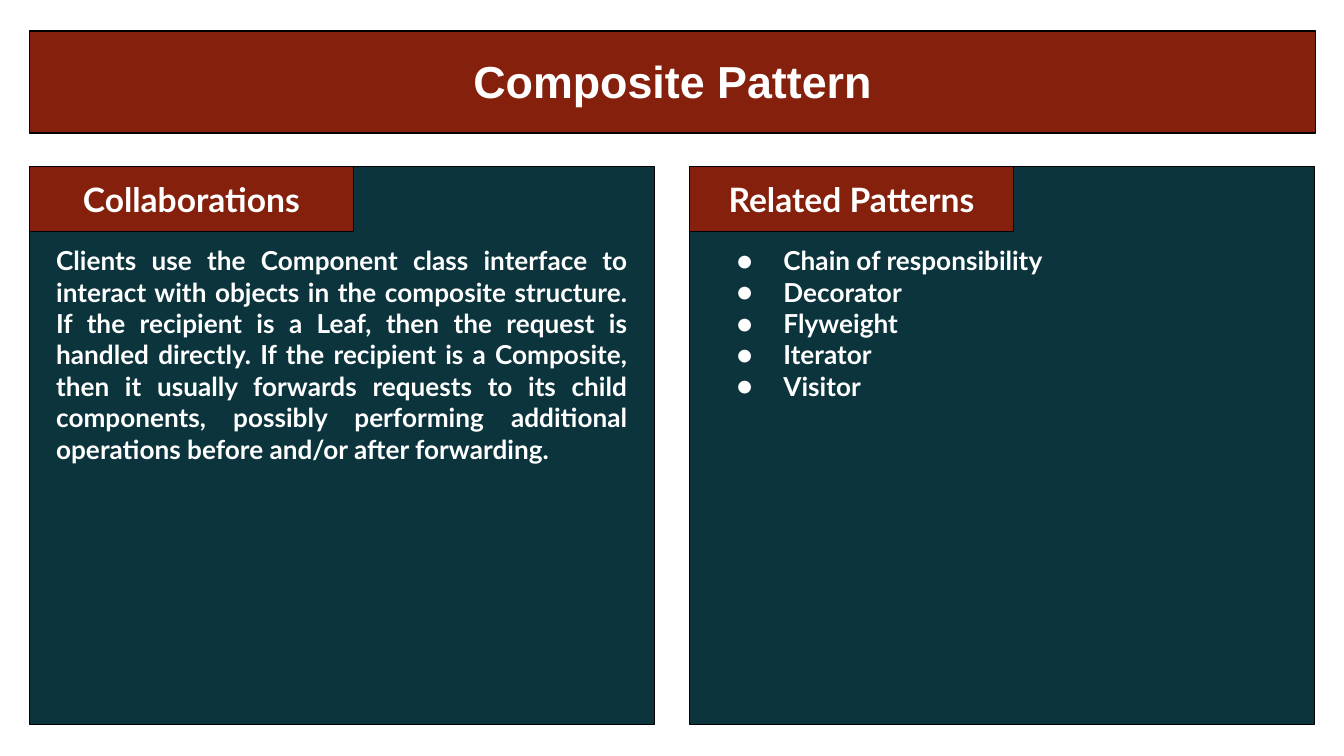
import lxml.etree
import pptx
import pptx.dml.color
import pptx.enum.shapes
import pptx.enum.text
import pptx.oxml.ns
import pptx.util

Pt = pptx.util.Pt
ALIGN = pptx.enum.text.PP_ALIGN
ANCHOR = pptx.enum.text.MSO_ANCHOR
RED, TEAL, WHITE, BLACK = "85200C", "0C343D", "FFFFFF", "000000"


def color(value):
    return pptx.dml.color.RGBColor.from_string(value)


def write(shape, lines, font, size, align, anchor):
    frame = shape.text_frame
    frame.word_wrap = True
    frame.vertical_anchor = anchor
    frame.margin_left = frame.margin_right = Pt(7.2)
    frame.margin_top = frame.margin_bottom = Pt(7.2)
    for index, line in enumerate(lines):
        paragraph = frame.paragraphs[0] if index == 0 else frame.add_paragraph()
        paragraph.alignment = align
        run = paragraph.add_run()
        run.text = line
        run.font.name = font
        run.font.size = Pt(size)
        run.font.bold = True
        run.font.color.rgb = color(WHITE)


presentation = pptx.Presentation()
presentation.slide_width = Pt(720)
presentation.slide_height = Pt(405)
slide = presentation.slides.add_slide(presentation.slide_layouts[6])

left, right = 15.8, 369.4
panel_top, panel_width, tab_height = 89.3, 334.8, 34.6
rectangles = [
    (left, 16.6, 689, 54.7, RED, None),
    (left, panel_top, panel_width, 298.8, TEAL, None),
    (right, panel_top, panel_width, 298.8, TEAL, None),
    (left, panel_top, 173.5, tab_height, RED, "Collaborations"),
    (right, panel_top, 173.5, tab_height, RED, "Related Patterns"),
]
for x, y, width, height, fill, heading in rectangles:
    shape = slide.shapes.add_shape(
        pptx.enum.shapes.MSO_SHAPE.RECTANGLE, Pt(x), Pt(y), Pt(width), Pt(height))
    shape.shadow.inherit = False
    shape.fill.solid()
    shape.fill.fore_color.rgb = color(fill)
    shape.line.color.rgb = color(BLACK)
    shape.line.width = Pt(0.75)
    if heading:
        write(shape, [heading], "Lato", 18, ALIGN.CENTER, ANCHOR.MIDDLE)

title = slide.shapes.add_textbox(Pt(left), Pt(21.6), Pt(689), Pt(45.4))
write(title, ["Composite Pattern"], "Arial", 24, ALIGN.CENTER, ANCHOR.TOP)

collaborations = (
    "Clients use the Component class interface to interact with objects in the "
    "composite structure. If the recipient is a Leaf, then the request is handled "
    "directly. If the recipient is a Composite, then it usually forwards requests "
    "to its child components, possibly performing additional operations before "
    "and/or after forwarding."
)
patterns = ["Chain of responsibility", "Decorator", "Flyweight", "Iterator", "Visitor"]
body_top = panel_top + tab_height
for x, height, lines in [(left, 87.1, [collaborations]), (right, 251.3, patterns)]:
    body = slide.shapes.add_textbox(
        Pt(x + 7.2), Pt(body_top), Pt(panel_width - 14.4), Pt(height))
    write(body, lines, "Lato", 14, ALIGN.JUSTIFY, ANCHOR.TOP)

for paragraph in body.text_frame.paragraphs:
    properties = paragraph._p.get_or_add_pPr()
    properties.set("marL", str(Pt(36)))
    properties.set("indent", str(Pt(-25)))
    bullet_color = lxml.etree.SubElement(properties, pptx.oxml.ns.qn("a:buClr"))
    lxml.etree.SubElement(bullet_color, pptx.oxml.ns.qn("a:srgbClr"), val=WHITE)
    lxml.etree.SubElement(properties, pptx.oxml.ns.qn("a:buFont"), typeface="Lato")
    lxml.etree.SubElement(properties, pptx.oxml.ns.qn("a:buChar"), char="●")

presentation.save("out.pptx")
